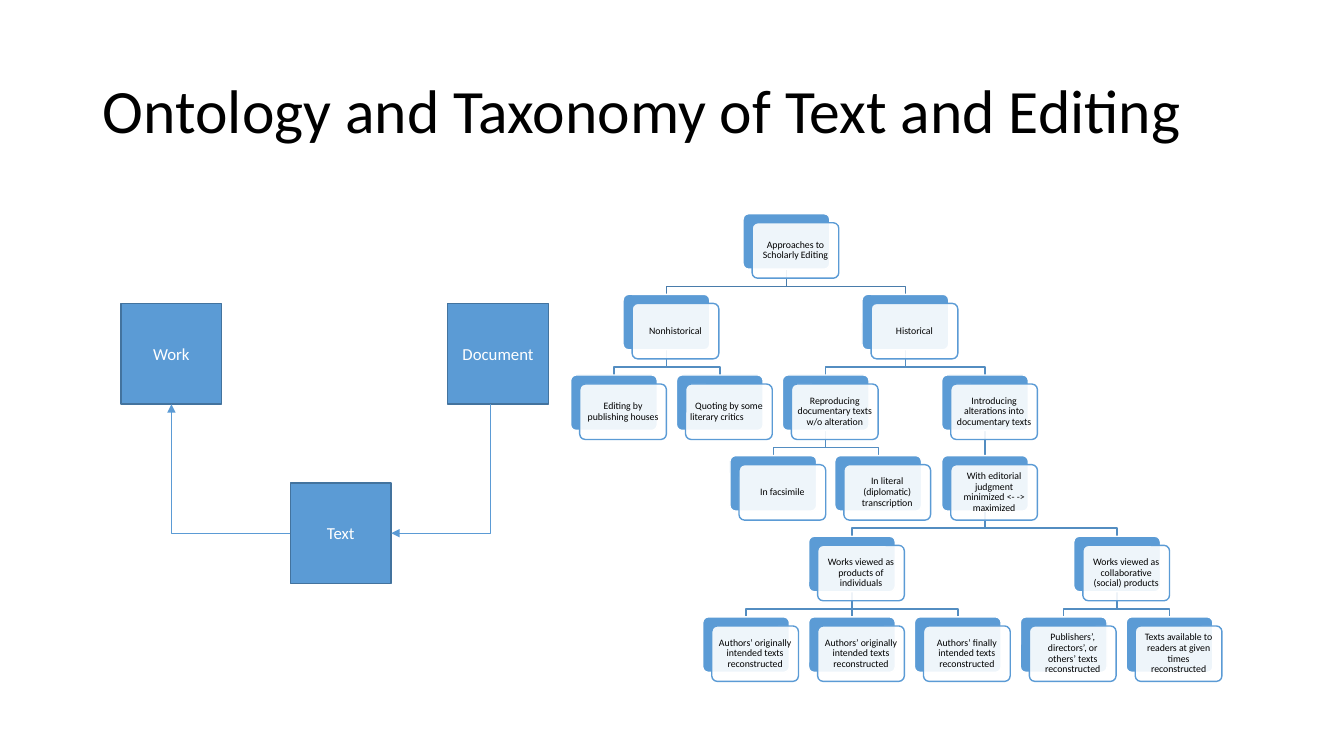
from lxml import etree
from pptx import Presentation
from pptx.dml.color import RGBColor
from pptx.enum.shapes import MSO_CONNECTOR, MSO_SHAPE
from pptx.enum.text import MSO_ANCHOR, PP_ALIGN
from pptx.oxml.ns import qn
from pptx.util import Pt

PX = 9144  # 100 px to the inch
RECT, ROUNDED = MSO_SHAPE.RECTANGLE, MSO_SHAPE.ROUNDED_RECTANGLE
STRAIGHT, ELBOW = MSO_CONNECTOR.STRAIGHT, MSO_CONNECTOR.ELBOW
LEFT, CENTER, MIDDLE = PP_ALIGN.LEFT, PP_ALIGN.CENTER, MSO_ANCHOR.MIDDLE
COLORS = {
    "accent": "5B9BD5", "square_edge": "43739E", "top_branch": "497CAB",
    "branch": "538DC1", "white": "FFFFFF", "black": "000000",
}
COLORS = {name: RGBColor.from_string(value) for name, value in COLORS.items()}


def add_box(kind, left, top, width, height, fill, edge):
    box = shapes.add_shape(kind, left * PX, top * PX, width * PX, height * PX)
    box.shadow.inherit = False
    box.fill.solid()
    box.fill.fore_color.rgb = COLORS[fill]
    box.line.color.rgb = COLORS[edge]
    box.line.width = Pt(1)
    return box


def write_text(shape, text, size, color, align=CENTER, spacing=1.0, margin=None):
    frame = shape.text_frame
    frame.word_wrap = True
    frame.vertical_anchor = MIDDLE
    if margin is not None:
        for side in ("left", "top", "right", "bottom"):
            setattr(frame, f"margin_{side}", margin * PX)
    paragraph = frame.paragraphs[0]
    paragraph.text = text
    paragraph.alignment = align
    paragraph.line_spacing = spacing
    font = paragraph.runs[0].font
    for name, value in {"name": "Calibri", "size": Pt(size)}.items():
        setattr(font, name, value)
    font.color.rgb = COLORS[color]


prs = Presentation()
prs.slide_width, prs.slide_height = 1333 * PX, 750 * PX
slide = prs.slides.add_slide(prs.slide_layouts[5])
shapes = slide.shapes

title = shapes.title
for name, value in {"left": 92, "top": 40, "width": 1150, "height": 145}.items():
    setattr(title, name, value * PX)
write_text(title, "Ontology and Taxonomy of Text and Editing", 44, "black", LEFT, 0.9)

# Taxonomy tree: text, row, column, index of the parent
approaches = [
    ("Approaches to Scholarly Editing", 0, 1.625, None),
    ("Nonhistorical", 1, 0.5, 0),
    ("Historical", 1, 2.75, 0),
    ("Editing by publishing houses", 2, 0, 1),
    ("Quoting by some literary critics\t", 2, 1, 1),
    ("Reproducing documentary texts w/o alteration", 2, 2, 2),
    ("Introducing alterations into documentary texts", 2, 3.5, 2),
    ("In facsimile", 3, 1.5, 5),
    ("In literal (diplomatic) transcription", 3, 2.5, 5),
    ("With editorial judgment minimized <- -> maximized", 3, 3.5, 6),
    ("Works viewed as products of individuals", 4, 2.25, 9),
    ("Works viewed as collaborative (social) products", 4, 4.75, 9),
    ("Authors’ originally intended texts reconstructed", 5, 1.25, 10),
    ("Authors’ originally intended texts reconstructed", 5, 2.25, 10),
    ("Authors’ finally intended texts reconstructed", 5, 3.25, 10),
    ("Publishers’, directors’, or others’ texts reconstructed", 5, 4.25, 11),
    ("Texts available to readers at given times reconstructed", 5, 5.25, 11),
]
TREE_LEFT, TREE_TOP, COLUMN, ROW = 566, 212, 105, 80
CARD_W, CARD_H, CARD_SHIFT, ELBOW_GAP = 86, 55, 9, 8
corners = [(round(TREE_LEFT + column * COLUMN), TREE_TOP + row * ROW)
           for _, row, column, _ in approaches]

for (_, row, _, parent), (left, top) in zip(approaches, corners):
    if parent is None:
        continue
    x, start_x = left + CARD_W // 2, corners[parent][0] + CARD_W // 2
    start_y = corners[parent][1] + CARD_H
    if x == start_x:
        branch = shapes.add_connector(STRAIGHT, x * PX, start_y * PX, x * PX, top * PX)
        etree.SubElement(branch._element.spPr, qn("a:effectLst"))
    else:
        outline = shapes.build_freeform(start_x, start_y, scale=PX)
        bend_y = top - ELBOW_GAP
        outline.add_line_segments([(start_x, bend_y), (x, bend_y), (x, top)], close=False)
        branch = outline.convert_to_shape()
        branch.shadow.inherit = False
        branch.fill.background()
    branch.line.color.rgb = COLORS["top_branch" if row == 1 else "branch"]
    branch.line.width = Pt(1)

for (text, *_), (left, top) in zip(approaches, corners):
    backing = add_box(ROUNDED, left, top, CARD_W, CARD_H, "accent", "white")
    card = add_box(ROUNDED, left + CARD_SHIFT, top + CARD_SHIFT,
                   CARD_W, CARD_H, "white", "accent")
    for layer in (backing, card):
        layer.adjustments[0] = 0.1
    white = card._element.spPr.find(qn("a:solidFill")).find(qn("a:srgbClr"))
    etree.SubElement(white, qn("a:alpha")).set("val", "90000")
    write_text(card, text, 7, "black", spacing=0.9, margin=3)

# Ontology: document -> text -> work
squares = {}
for text, left, top in [("Work", 120, 301), ("Document", 444, 301), ("Text", 288, 479)]:
    squares[text] = add_box(RECT, left, top, 100, 100, "accent", "square_edge")
    write_text(squares[text], text, 12, "white")

# Source, its side, target, its side, unrotated frame, rotation
SIDE_LEFT, SIDE_BOTTOM, SIDE_RIGHT = 1, 2, 3
arrows = [
    ("Text", SIDE_LEFT, "Work", SIDE_BOTTOM, (170, 401, 118, 128), 180),
    ("Document", SIDE_BOTTOM, "Text", SIDE_RIGHT, (373, 416, 128, 98), 90),
]
for source, source_side, target, target_side, frame, rotation in arrows:
    arrow = shapes.add_connector(ELBOW, 0, 0, PX, PX)
    arrow.begin_connect(squares[source], source_side)
    arrow.end_connect(squares[target], target_side)
    for name, value in zip(("left", "top", "width", "height"), frame):
        setattr(arrow, name, value * PX)
    properties = arrow._element.spPr
    for flip in ("flipH", "flipV"):
        properties.find(qn("a:xfrm")).attrib.pop(flip, None)
    arrow.rotation = rotation
    properties.find(qn("a:prstGeom")).set("prst", "bentConnector2")
    arrow.line.color.rgb = COLORS["accent"]
    arrow.line.width = Pt(0.5)
    etree.SubElement(properties.find(qn("a:ln")), qn("a:tailEnd")).set("type", "triangle")
    etree.SubElement(properties, qn("a:effectLst"))

prs.save("out.pptx")
